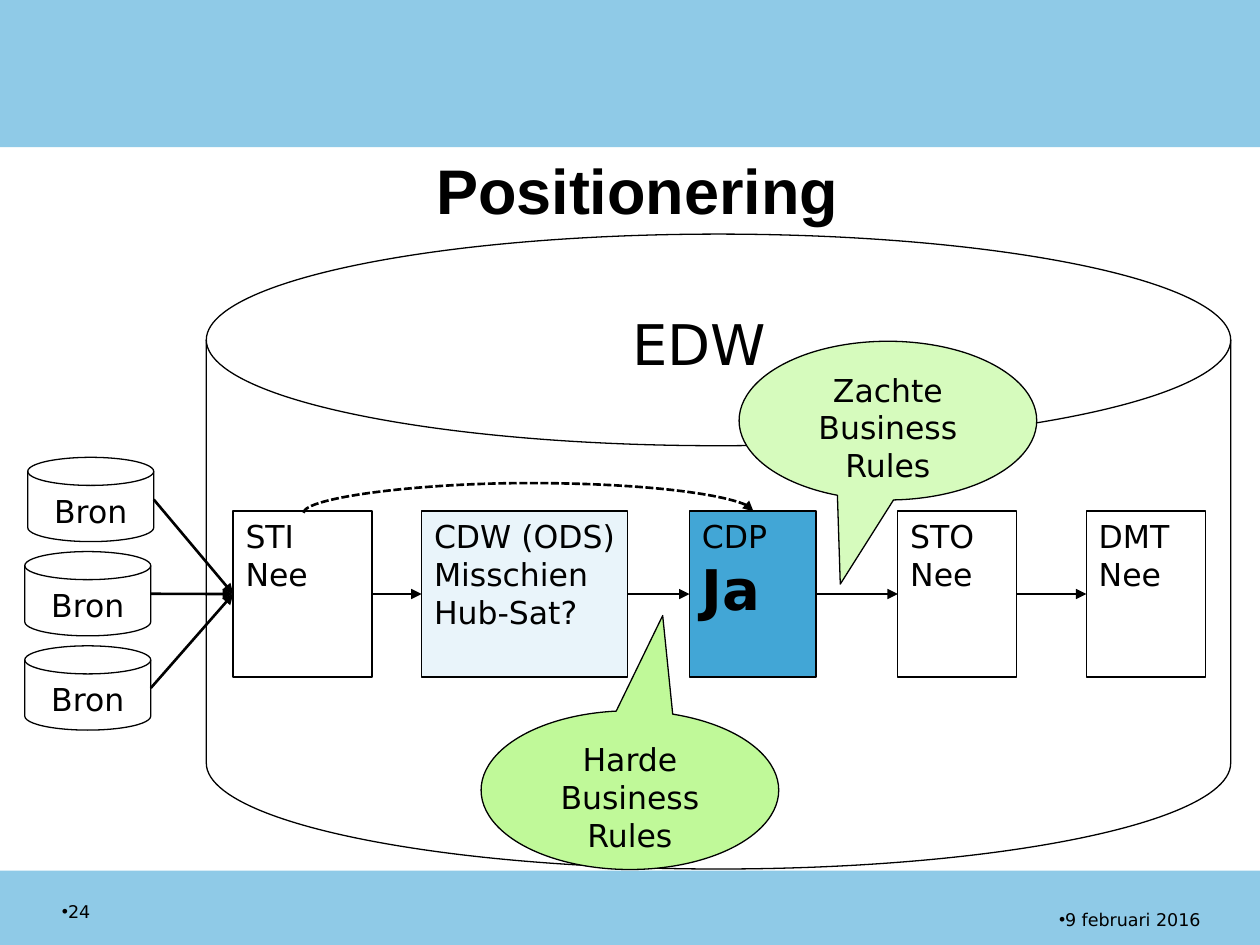
"""Build the EDW positioning slide with its sources, layers and business rules."""
from dataclasses import dataclass
from itertools import pairwise
from typing import Optional

from lxml.etree import SubElement
from pptx import Presentation
from pptx.dml.color import RGBColor
from pptx.enum.dml import MSO_LINE
from pptx.enum.shapes import MSO_CONNECTOR, MSO_SHAPE
from pptx.enum.text import MSO_ANCHOR, PP_ALIGN
from pptx.oxml.ns import qn
from pptx.util import Cm, Pt

BLACK = "000000"
BAND_BLUE = "8FCAE7"
BODY_FONT = "DejaVu Sans"
TOP, LEFT, BOTTOM, RIGHT = range(4)


@dataclass(frozen=True)
class Line:
    text: str
    size: float = 18
    bold: bool = False
    font: str = BODY_FONT


@dataclass(frozen=True)
class Box:
    left: float
    top: float
    width: float
    height: float

    def lengths(self) -> tuple:
        return tuple(Cm(value) for value in (self.left, self.top, self.width, self.height))


@dataclass(frozen=True)
class Layer:
    left: float
    width: float
    lines: tuple
    fill: Optional[str] = None


@dataclass(frozen=True)
class Callout:
    box: Box
    text: str
    fill: str
    tip: tuple


LAYER_TOP, LAYER_HEIGHT = 10.3, 3.35
LAYERS = (
    Layer(4.7, 2.8, (Line("STI"), Line("Nee"))),
    Layer(8.5, 4.15, (Line("CDW (ODS)"), Line("Misschien"), Line("Hub-Sat?")), "E9F4FA"),
    Layer(13.9, 2.55, (Line("CDP"), Line("Ja", 32, True)), "42A6D6"),
    Layer(18.1, 2.4, (Line("STO"), Line("Nee"))),
    Layer(21.9, 2.4, (Line("DMT"), Line("Nee"))),
)
SOURCES = tuple(Box(left, 9.22 + 1.9 * row, 2.54, 1.7) for row, left in enumerate((0.56, 0.5, 0.5)))
CALLOUTS = (
    Callout(Box(9.7, 14.33, 6, 3.2), "Harde Business Rules", "C0F999", (0.11, -1.1)),
    Callout(Box(14.9, 6.88, 6, 3.2), "Zachte Business Rules", "D6FBBD", (-0.16, 1.03)),
)
FOOTERS = (
    (Box(21.1, 18.19, 4.24, 0.79), "9 februari 2016"),
    (Box(1, 18.03, 2, 1), "24"),
)


def color(value: str) -> RGBColor:
    return RGBColor.from_string(value)


def write(shape, lines: tuple, align=PP_ALIGN.LEFT, anchor=MSO_ANCHOR.TOP, wrap: bool = True):
    frame = shape.text_frame
    frame.word_wrap = wrap
    frame.vertical_anchor = anchor
    paragraph = frame.paragraphs[0]
    paragraph.alignment = align
    for index, line in enumerate(lines):
        if index:
            paragraph.add_line_break()
        run = paragraph.add_run()
        run.text = line.text
        run.font.name = line.font
        run.font.size = Pt(line.size)
        run.font.bold = line.bold
        run.font.color.rgb = color(BLACK)
    return paragraph


def add_figure(slide, kind, box: Box, fill: Optional[str] = None, outline: Optional[str] = BLACK):
    shape = slide.shapes.add_shape(kind, *box.lengths())
    shape.shadow.inherit = False
    if fill:
        shape.fill.solid()
        shape.fill.fore_color.rgb = color(fill)
    else:
        shape.fill.background()
    if outline:
        shape.line.color.rgb = color(outline)
        shape.line.width = Pt(0.75)
    else:
        shape.line.fill.background()
    return shape


def add_arrow(slide, kind, start: tuple, end: tuple):
    arrow = slide.shapes.add_connector(kind, *(Cm(value) for value in start + end))
    arrow.line.color.rgb = color(BLACK)
    arrow.line.width = Pt(1.5)
    SubElement(arrow.line._get_or_add_ln(), qn("a:tailEnd"), type="triangle")
    SubElement(arrow._element.spPr, qn("a:effectLst"))
    return arrow


def add_bypass(slide) -> None:
    arrow = add_arrow(slide, MSO_CONNECTOR.CURVE, (10.67, 14.86), (10.64, 5.79))
    arrow.line.dash_style = MSO_LINE.SQUARE_DOT
    properties = arrow._element.spPr
    properties.find(qn("a:xfrm")).set("rot", "5400000")
    adjustments = properties.find(qn("a:prstGeom")).find(qn("a:avLst"))
    SubElement(adjustments, qn("a:gd"), name="adj1", fmla="val 2000000")


def add_footer(slide, box: Box, text: str) -> None:
    paragraph = write(slide.shapes.add_textbox(*box.lengths()), (Line(text, 10),))
    properties = paragraph._p.get_or_add_pPr()
    SubElement(properties, qn("a:buFont"), typeface="Arial")
    SubElement(properties, qn("a:buChar"), char="•")


def add_layers(slide) -> list:
    shapes = []
    for layer in LAYERS:
        box = Box(layer.left, LAYER_TOP, layer.width, LAYER_HEIGHT)
        shape = add_figure(slide, MSO_SHAPE.RECTANGLE, box, layer.fill)
        write(shape, layer.lines)
        shapes.append(shape)
    return shapes


def add_flow(slide, layers: list) -> None:
    for source in SOURCES:
        start = (source.left + source.width, source.top + source.height / 2)
        arrow = add_arrow(slide, MSO_CONNECTOR.STRAIGHT, start, start)
        arrow.end_connect(layers[0], LEFT)
    for first, second in pairwise(layers):
        arrow = add_arrow(slide, MSO_CONNECTOR.STRAIGHT, (0, 0), (0, 0))
        arrow.begin_connect(first, RIGHT)
        arrow.end_connect(second, LEFT)
    add_bypass(slide)


def main() -> None:
    presentation = Presentation()
    presentation.slide_width, presentation.slide_height = Cm(25.4), Cm(19.05)
    slide = presentation.slides.add_slide(presentation.slide_layouts[5])

    for band in (Box(0, 17.55, 25.4, 1.5), Box(0, 0, 25.4, 2.97)):
        add_figure(slide, MSO_SHAPE.RECTANGLE, band, BAND_BLUE, None)
    for box, text in FOOTERS:
        add_footer(slide, box, text)

    title = slide.shapes.title
    title.left, title.top, title.width, title.height = Box(0.9, 2.92, 23.9, 1.8).lengths()
    write(title, (Line("Positionering", 36, True, "Arial"),), PP_ALIGN.CENTER, MSO_ANCHOR.MIDDLE)

    for source in SOURCES:
        disk = add_figure(slide, MSO_SHAPE.FLOWCHART_MAGNETIC_DISK, source)
        write(disk, (Line("Bron"),), PP_ALIGN.CENTER)
    add_figure(slide, MSO_SHAPE.FLOWCHART_MAGNETIC_DISK, Box(4.16, 4.72, 20.65, 12.8))
    add_flow(slide, add_layers(slide))

    for callout in CALLOUTS:
        balloon = add_figure(slide, MSO_SHAPE.OVAL_CALLOUT, callout.box, callout.fill)
        balloon.adjustments[0], balloon.adjustments[1] = callout.tip
        write(balloon, (Line(callout.text),), PP_ALIGN.CENTER)

    warehouse = slide.shapes.add_textbox(*Box(12.5, 6.12, 3.22, 1.63).lengths())
    write(warehouse, (Line("EDW", 32),), wrap=False)
    presentation.save("out.pptx")


if __name__ == "__main__":
    main()
